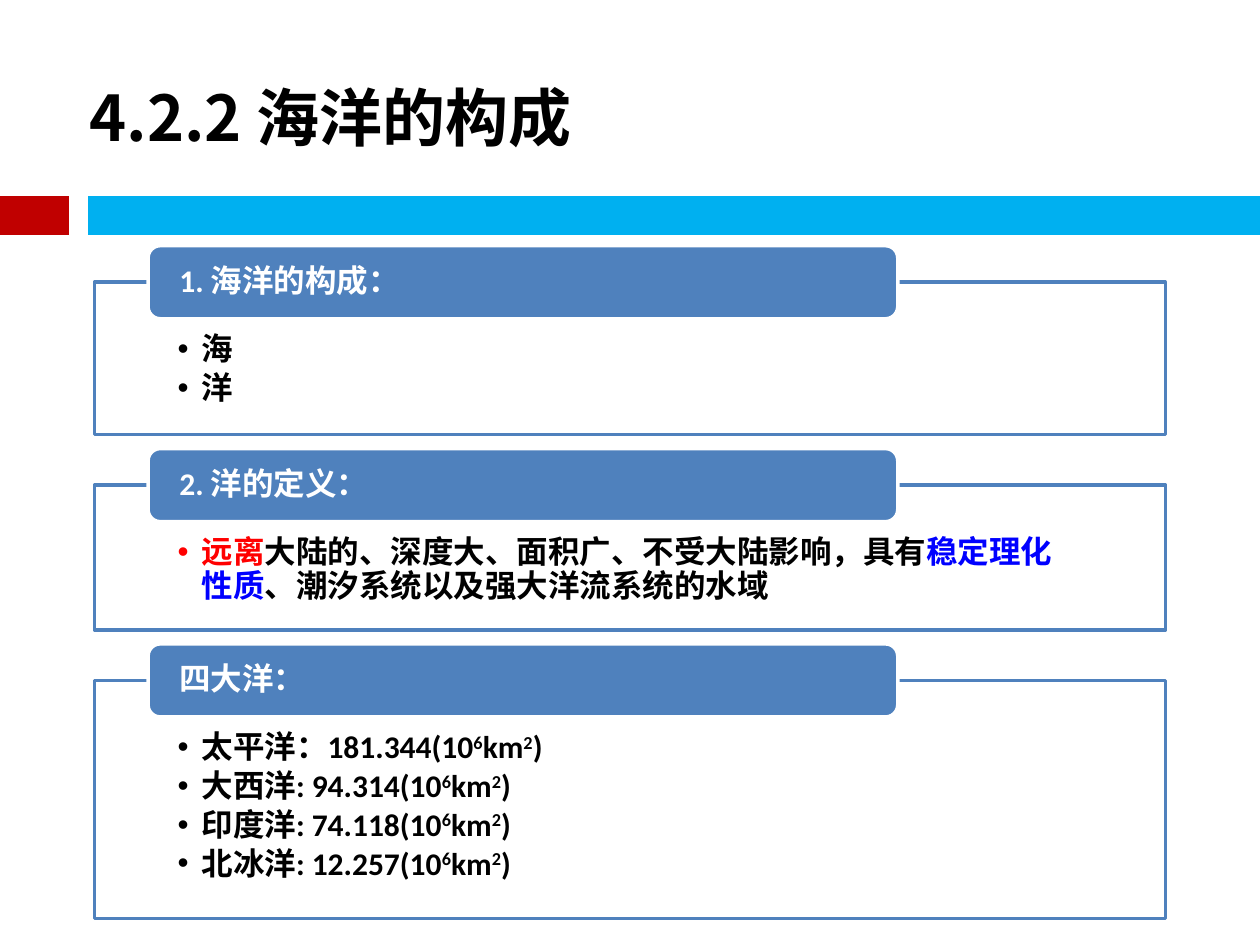
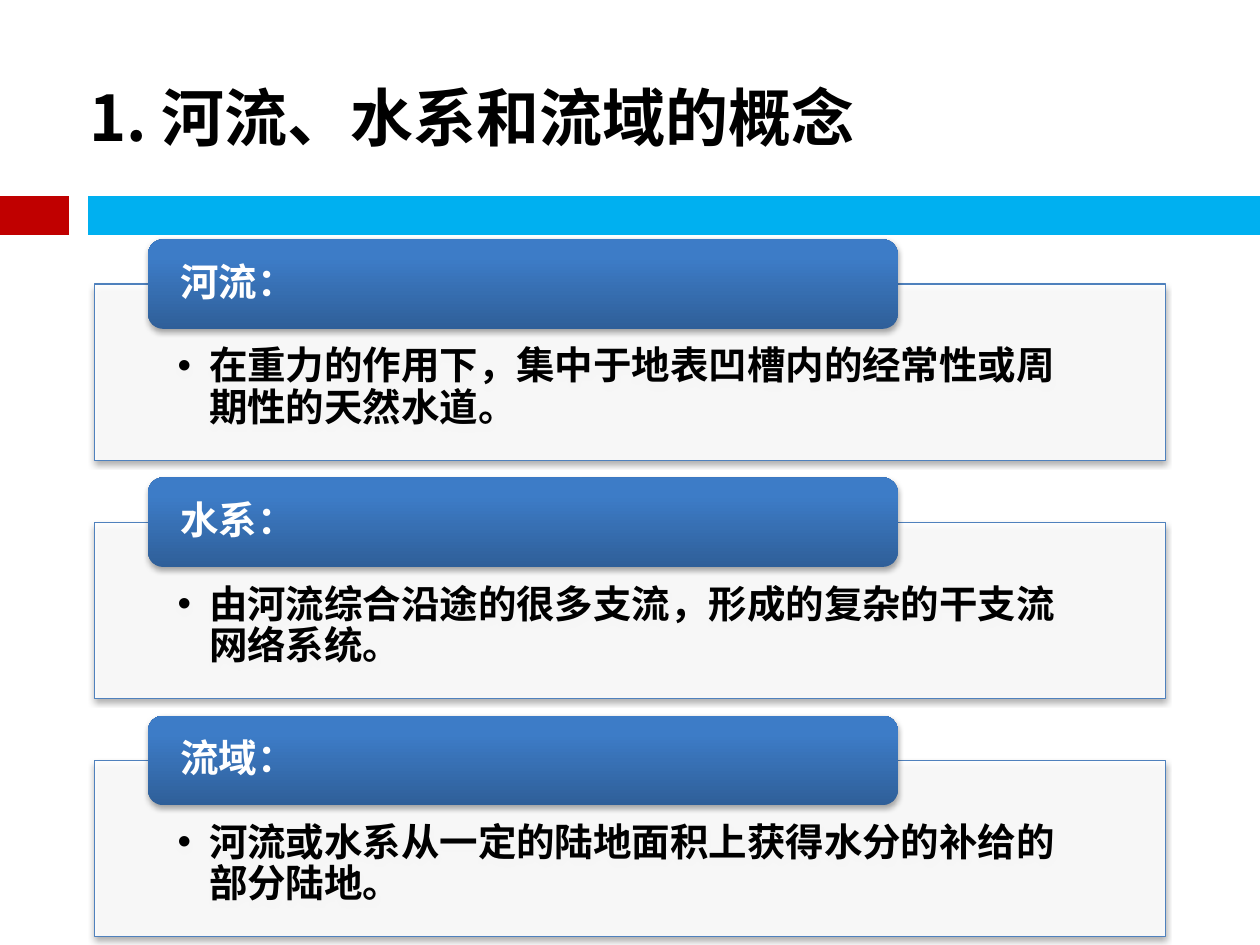
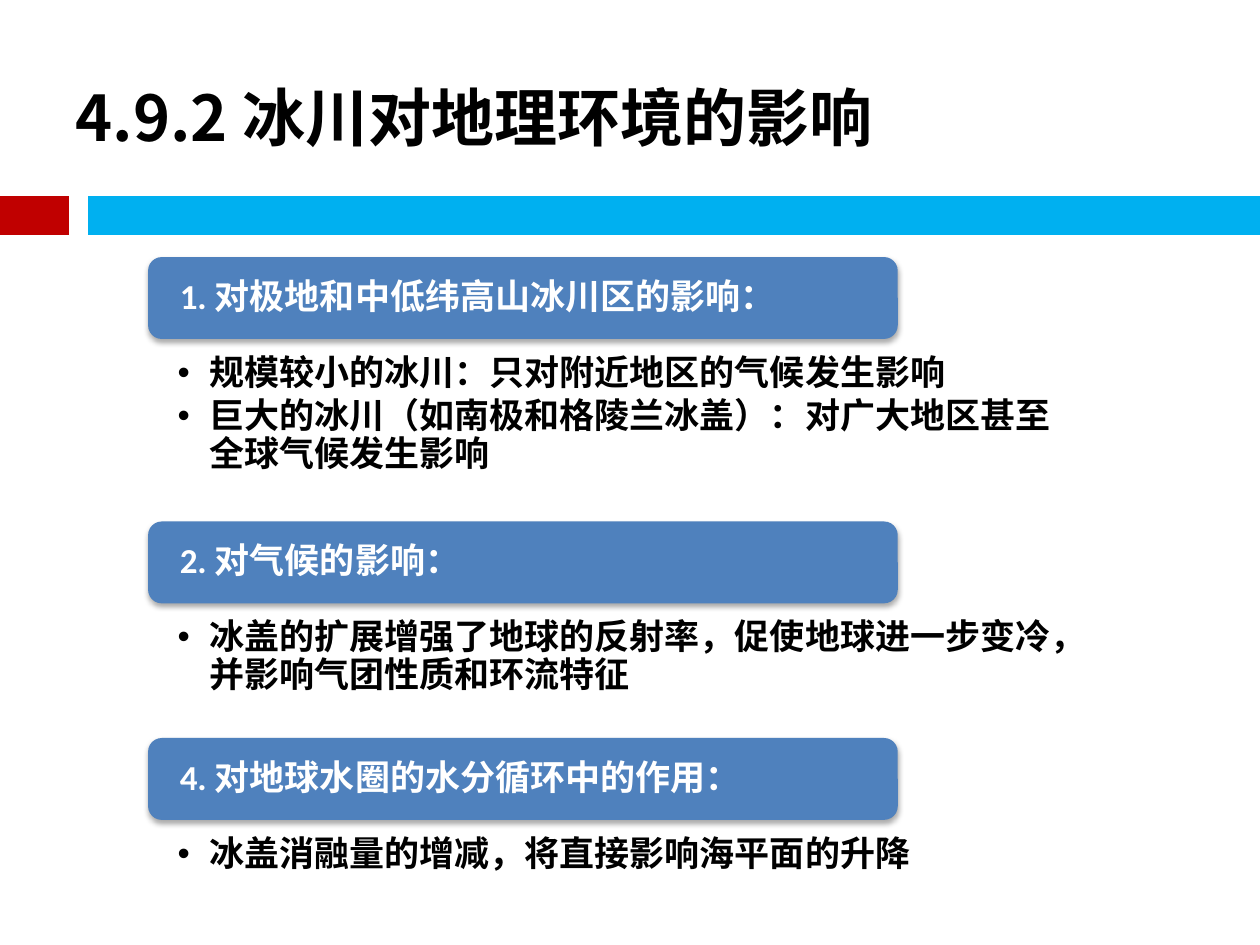
from collections import namedtuple

from lxml.etree import SubElement
from pptx import Presentation
from pptx.dml.color import RGBColor
from pptx.enum.shapes import MSO_CONNECTOR as LINE, MSO_SHAPE as SHAPE
from pptx.enum.text import MSO_ANCHOR as ANCHOR, PP_ALIGN as ALIGN
from pptx.oxml.ns import qn
from pptx.util import Emu, Inches, Pt

WIDE, HIGH = 10, 7.5
HEX = {
    "ink": "000000", "white": "FFFFFF", "red": "FF0000", "blue": "0000FF",
    "mark": "C00000", "band": "00B0F0", "cap": "4F81BD",
    "deep": "2F5F99", "mid": "3D7CC7",
}
HAN, LATIN = "Noto Sans CJK SC", "Calibri"

Box = namedtuple("Box", "left top width height")
# size: text points; cap: header height; rim and edge: line points of panel and header
Look = namedtuple("Look", "size cap indent rim edge grad cast_cap cast_panel")
PLAIN = Look(18, 0.58, 0.19, 2, 2, False, False, False)
RAISED = Look(22, 0.71, 0.25, 0.75, 0, True, True, True)
OPEN = Look(20, 0.65, 0.25, 0, 0, False, True, False)


def rgb(name):
    return RGBColor.from_string(HEX[name])


# Text
def add_run(para, text, size, color="ink", face=LATIN, raised=False):
    run = para.add_run()
    run.text = text
    font = run.font
    font.size, font.bold, font.name = Pt(size), True, face
    font.color.rgb = rgb(color)
    props = run._r.get_or_add_rPr()
    SubElement(props, qn("a:ea"), typeface=HAN)
    if raised:
        props.set("baseline", "30000")


def set_para(para, after, indent=0):
    para.alignment, para.line_spacing = ALIGN.LEFT, 0.9
    props = para._p.get_or_add_pPr()
    space = SubElement(props, qn("a:spcAft"))
    SubElement(space, qn("a:spcPct"), val=str(after * 1000))
    if indent:
        para.level = 1
        props.set("marL", str(Inches(indent)))
        props.set("indent", str(-Inches(indent)))
        SubElement(props, qn("a:buFont"), typeface="Arial")
        SubElement(props, qn("a:buChar"), char="•")


def set_frame(shape, anchor, side, top=0, bottom=0):
    frame = shape.text_frame
    frame.word_wrap, frame.vertical_anchor = True, anchor
    frame.margin_left = frame.margin_right = Inches(side)
    frame.margin_top, frame.margin_bottom = Inches(top), Inches(bottom)
    return frame


# Shapes
def add_block(slide, kind, box, fill, line, width, cast):
    shape = slide.shapes.add_shape(kind, *map(Inches, box))
    shape.shadow.inherit = False
    shape.fill.solid()
    shape.fill.fore_color.rgb = rgb(fill)
    if width:
        shape.line.color.rgb = rgb(line)
        shape.line.width = Pt(width)
    else:
        shape.line.fill.background()
    if cast:
        effects = shape.element.spPr.find(qn("a:effectLst"))
        shade = SubElement(effects, qn("a:outerShdw"), blurRad="40000",
                           dist="23000", dir="5400000", rotWithShape="0")
        tint = SubElement(shade, qn("a:srgbClr"), val=HEX["ink"])
        SubElement(tint, qn("a:alpha"), val="35000")
    return shape


def add_panel(slide, box, paras, look):
    panel = add_block(slide, SHAPE.RECTANGLE, box, "white", "cap",
                      look.rim, look.cast_panel)
    tint = panel.element.spPr.find(qn("a:solidFill"))[0]
    SubElement(tint, qn("a:alpha"), val="90000")
    frame = set_frame(panel, ANCHOR.TOP, 0.66, look.cap * 0.7, look.cap * 0.24)
    for i, runs in enumerate(paras):
        para = frame.add_paragraph() if i else frame.paragraphs[0]
        set_para(para, 15, look.indent)
        for text, style in runs:
            raised = style == "sup"
            add_run(para, text, look.size, "ink" if raised else style,
                    raised=raised)


def add_cap(slide, box, text, look):
    cap = add_block(slide, SHAPE.ROUNDED_RECTANGLE, box, "cap", "white",
                    look.edge, look.cast_cap)
    if look.grad:
        cap.fill.gradient()
        cap.fill.gradient_angle = 90
        for stop, name, place in zip(cap.fill.gradient_stops,
                                     ("deep", "mid"), (0, 0.8)):
            stop.color.rgb, stop.position = rgb(name), place
    para = set_frame(cap, ANCHOR.MIDDLE, 0.22).paragraphs[0]
    set_para(para, 35)
    add_run(para, text, look.size, "white")


def add_list(slide, top, parts, look):
    """Stack headed panels; each header straddles the top of its panel."""
    left, width = WIDE * 0.075, WIDE * 0.85
    for head, height, paras in parts:
        box = Box(left, top + look.cap / 2, width, height)
        add_panel(slide, box, paras, look)
        add_cap(slide, Box(left + width * 0.05, top, width * 0.7, look.cap),
                head, look)
        top = box.top + height + look.cap * 0.19


# Slide frame
def add_band(slide):
    y = Inches(1.71)
    for start, end, name in ((0, 0.55, "mark"), (0.7, WIDE, "band")):
        bar = slide.shapes.add_connector(LINE.STRAIGHT, Inches(start), y,
                                         Inches(end), y)
        bar.line.color.rgb, bar.line.width = rgb(name), Pt(22)
        SubElement(bar.element.spPr, qn("a:effectLst"))


def add_slide(deck, text, shift=0):
    slide = deck.slides.add_slide(deck.slide_layouts[5])
    add_band(slide)
    title = slide.shapes.title
    title.left, title.top, title.width, title.height = map(
        Inches, (WIDE * 0.05, HIGH * 0.04, WIDE * 0.9, 1.25))
    frame = set_frame(title, ANCHOR.MIDDLE, 0.1, 0.05, 0.05)
    frame.margin_left = Emu(frame.margin_left + Inches(shift))
    para = frame.paragraphs[0]
    para.alignment = ALIGN.LEFT
    add_run(para, text, 36, face=HAN)
    return slide


# Content
def plain(*lines):
    return [[(line, "ink")] for line in lines]


def area(name):
    return [(name + "(10", "ink"), ("6", "sup"), ("km", "ink"),
            ("2", "sup"), (")", "ink")]


OCEAN = [
    ("1. 海洋的构成：", 1.21, plain("海", "洋")),
    ("2. 洋的定义：", 1.15, [[
        ("远离", "red"),
        ("大陆的、深度大、面积广、不受大陆影响，具有", "ink"),
        ("稳定理化性质", "blue"),
        ("、潮汐系统以及强大洋流系统的水域", "ink")]]),
    ("四大洋：", 1.89, [area(name) for name in (
        "太平洋：181.344", "大西洋: 94.314",
        "印度洋: 74.118", "北冰洋: 12.257")]),
]
RIVER = [(head, 1.4, plain(line)) for head, line in (
    ("河流：", "在重力的作用下，集中于地表凹槽内的经常性或周期性的天然水道。"),
    ("水系：", "由河流综合沿途的很多支流，形成的复杂的干支流网络系统。"),
    ("流域：", "河流或水系从一定的陆地面积上获得水分的补给的部分陆地。"))]
ICE = [
    ("1. 对极地和中低纬高山冰川区的影响：", 1.65, plain(
        "规模较小的冰川：只对附近地区的气候发生影响",
        "巨大的冰川（如南极和格陵兰冰盖）：对广大地区甚至全球气候发生影响")),
    ("2. 对气候的影响：", 1.27, plain(
        "冰盖的扩展增强了地球的反射率，促使地球进一步变冷，并影响气团性质和环流特征")),
    ("4. 对地球水圈的水分循环中的作用：", 0.95, plain(
        "冰盖消融量的增减，将直接影响海平面的升降")),
]


def main():
    deck = Presentation()
    deck.slide_width, deck.slide_height = Inches(WIDE), Inches(HIGH)
    for title, shift, top, parts, look in (
            ("4.2.2 海洋的构成", 0.11, 1.95, OCEAN, PLAIN),
            ("1. 河流、水系和流域的概念", 0.11, 1.9, RIVER, RAISED),
            ("4.9.2 冰川对地理环境的影响", 0, 2.04, ICE, OPEN)):
        add_list(add_slide(deck, title, shift), top, parts, look)
    deck.save("out.pptx")


if __name__ == "__main__":
    main()
